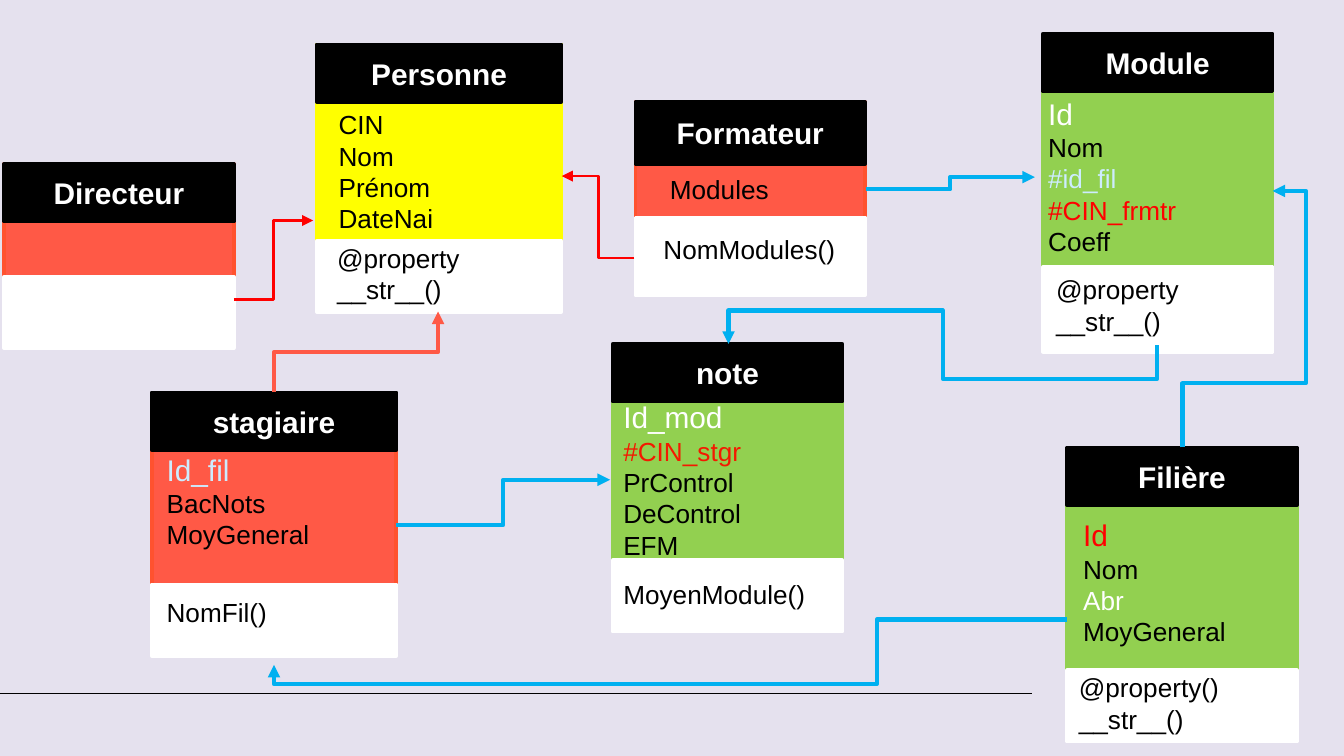
from lxml.etree import SubElement
from pptx import Presentation
from pptx.dml.color import RGBColor
from pptx.enum.shapes import MSO_CONNECTOR, MSO_SHAPE
from pptx.enum.text import MSO_ANCHOR, PP_ALIGN
from pptx.oxml.ns import qn
from pptx.util import Cm, Pt

BLACK = RGBColor(0x00, 0x00, 0x00)
WHITE = RGBColor(0xFF, 0xFF, 0xFF)
YELLOW = RGBColor(0xFF, 0xFF, 0x00)
GREEN = RGBColor(0x92, 0xD0, 0x50)
CORAL = RGBColor(0xFF, 0x59, 0x46)
EDGE = RGBColor(0xFF, 0x52, 0x2F)
RED = RGBColor(0xFF, 0x00, 0x00)
BRICK = RGBColor(0xF4, 0x19, 0x00)
PALE = RGBColor(0xCD, 0xEC, 0xFF)
BLUE = RGBColor(0x00, 0xB0, 0xF0)
LILAC = RGBColor(0xE5, 0xE1, 0xEE)

# name, left, width, head (top, height), body (top, height), foot (top, height), fill, edge
CARDS = [
    ("Personne", 5.99, 4.62, (0.84, 1.09), (0.84, 4.93), (4.55, 1.35), YELLOW, YELLOW),
    ("Directeur", 0.08, 4.34, (3.1, 1.09), (3.1, 2.69), (5.23, 1.35), CORAL, EDGE),
    ("Formateur", 12.01, 4.34, (1.93, 1.17), (1.93, 3.28), (4.11, 1.47), CORAL, EDGE),
    ("stagiaire", 2.87, 4.62, (7.42, 1.09), (7.44, 4.93), (11.05, 1.35), CORAL, EDGE),
    ("note", 11.58, 4.34, (6.5, 1.09), (6.63, 4.93), (10.59, 1.35), GREEN, GREEN),
    ("Filière", 20.17, 4.34, (8.46, 1.09), (9.07, 4.93), (12.67, 1.35), GREEN, GREEN),
    ("Module", 19.71, 4.34, (0.64, 1.09), (1.12, 4.93), (5.05, 1.6), GREEN, GREEN),
]

# left, top, width, height, rows, size of the first row, colours by row
LISTS = [
    (6.15, 1.93, 4.19, 2.64, "CIN\nNom\nPrénom\nDateNai", 14, {}),
    (6.12, 4.45, 4.37, 1.45, "@property\n__str__()", 14, {}),
    (2.9, 8.41, 4.62, 2.13, "Id_fil\nBacNots\nMoyGeneral", 16, {0: PALE}),
    (2.9, 11.15, 4.34, 0.86, "NomFil()", 14, {}),
    (12.29, 4.29, 4.34, 0.86, "NomModules()", 14, {}),
    (11.53, 7.42, 4.09, 3.33, "Id_mod\n#CIN_stgr\nPrControl\nDeControl\nEFM", 16,
     {0: WHITE, 1: BRICK}),
    (11.53, 10.8, 4.34, 0.86, "MoyenModule()", 14, {}),
    (20.22, 9.65, 4.09, 2.74, "Id\nNom\nAbr\nMoyGeneral", 16, {0: RED, 2: WHITE}),
    (19.71, 5.05, 4.34, 1.45, "@property\n__str__()", 14, {}),
    (20.14, 12.57, 4.34, 1.45, "@property()\n__str__()", 14, {}),
    (19.56, 1.68, 4.09, 3.33, "Id\nNom\n#id_fil\n#CIN_frmtr\nCoeff", 16,
     {0: WHITE, 2: PALE, 3: RED}),
]

# start, end, colour, weight, whether it leaves upright, bends
LINKS = [
    ((4.42, 5.66), (5.92, 4.17), RED, 1.5, False, [0.5]),
    ((11.99, 4.88), (10.62, 3.33), RED, 1.5, False, [0.5]),
    ((21.87, 6.53), (13.77, 6.5), BLUE, 2.25, True, [-21, 0.5, 22]),
    ((5.18, 7.42), (8.28, 5.89), CORAL, 2.25, True, [0.5]),
    ((7.49, 9.93), (11.53, 9.07), BLUE, 2.25, False, [0.5]),
    ((20.17, 11.71), (5.18, 12.57), BLUE, 2.25, False, [0.24, 1.42]),
    ((16.36, 3.58), (19.56, 3.35), BLUE, 2.25, False, [0.5]),
    ((22.35, 8.46), (24.05, 3.61), BLUE, 2.25, True, [0.25, 1.37]),
]


def style(para, size, tint, bold=False):
    """Set the font of a paragraph."""
    font = para.font
    font.name, font.size, font.bold = "Arial", Pt(size), bold
    font.color.rgb = tint


def add_box(slide, left, width, span, fill, edge):
    """Add a filled rectangle and return it."""
    top, height = span
    box = slide.shapes.add_shape(
        MSO_SHAPE.RECTANGLE, Cm(left), Cm(top), Cm(width), Cm(height))
    box.shadow.inherit = False
    box.fill.solid()
    box.fill.fore_color.rgb = fill
    box.line.color.rgb = edge
    box.line.width = Pt(2)
    box.text_frame.vertical_anchor = MSO_ANCHOR.MIDDLE
    return box


def add_card(slide, name, left, width, head, body, foot, fill, edge):
    """Add a class card with its body, head and foot."""
    main_box = add_box(slide, left, width, body, fill, edge)
    if name == "Formateur":
        main_box.text_frame.margin_left = Cm(0.65)
        para = main_box.text_frame.paragraphs[0]
        para.text = "Modules"
        para.alignment = PP_ALIGN.LEFT
        style(para, 14, BLACK)
    para = add_box(slide, left, width, head, BLACK, BLACK).text_frame.paragraphs[0]
    para.text = name
    para.alignment = PP_ALIGN.CENTER
    style(para, 16, WHITE, True)
    add_box(slide, left, width, foot, WHITE, WHITE)


def add_list(slide, left, top, width, height, rows, first, tints):
    """Add a text box with one paragraph for each row."""
    box = slide.shapes.add_textbox(Cm(left), Cm(top), Cm(width), Cm(height))
    frame = box.text_frame
    frame.word_wrap = True
    frame.text = rows
    for spot, para in enumerate(frame.paragraphs):
        style(para, 14 if spot else first, tints.get(spot, BLACK))


def add_line(slide, kind, start, end, tint, weight):
    """Add a plain connector and return it."""
    line = slide.shapes.add_connector(kind, *map(Cm, start + end))
    line.line.color.rgb = tint
    line.line.width = Pt(weight)
    SubElement(line.element.spPr, qn("a:effectLst"))
    return line


def add_link(slide, start, end, tint, weight, upright, bends):
    """Add a bent arrow, turned by a quarter when it leaves upright."""
    if upright:
        (x1, y1), (x2, y2) = start, end
        mid_x, mid_y = (x1 + x2) / 2, (y1 + y2) / 2
        half_x, half_y = (y2 - y1) / 2, (x1 - x2) / 2
        start = (mid_x - half_x, mid_y - half_y)
        end = (mid_x + half_x, mid_y + half_y)
    link = add_line(slide, MSO_CONNECTOR.ELBOW, start, end, tint, weight)
    shape = link.element.spPr
    if upright:
        shape.find(qn("a:xfrm")).set("rot", "5400000")
    form = shape.find(qn("a:prstGeom"))
    form.set("prst", f"bentConnector{len(bends) + 2}")
    guides = form.find(qn("a:avLst"))
    for rank, bend in enumerate(bends, 1):
        SubElement(guides, qn("a:gd"), name=f"adj{rank}",
                   fmla=f"val {round(bend * 100000)}")
    SubElement(shape.find(qn("a:ln")), qn("a:tailEnd"), type="triangle")


def main():
    """Build the class diagram and save it."""
    deck = Presentation()
    deck.slide_width, deck.slide_height = Cm(25.4), Cm(14.29)
    slide = deck.slides.add_slide(deck.slide_layouts[6])
    slide.background.fill.solid()
    slide.background.fill.fore_color.rgb = LILAC
    add_line(slide, MSO_CONNECTOR.STRAIGHT, (0, 13.11), (19.51, 13.11), BLACK, 0.75)
    for card in CARDS:
        add_card(slide, *card)
    for entry in LISTS:
        add_list(slide, *entry)
    for link in LINKS:
        add_link(slide, *link)
    deck.save("out.pptx")


if __name__ == "__main__":
    main()
